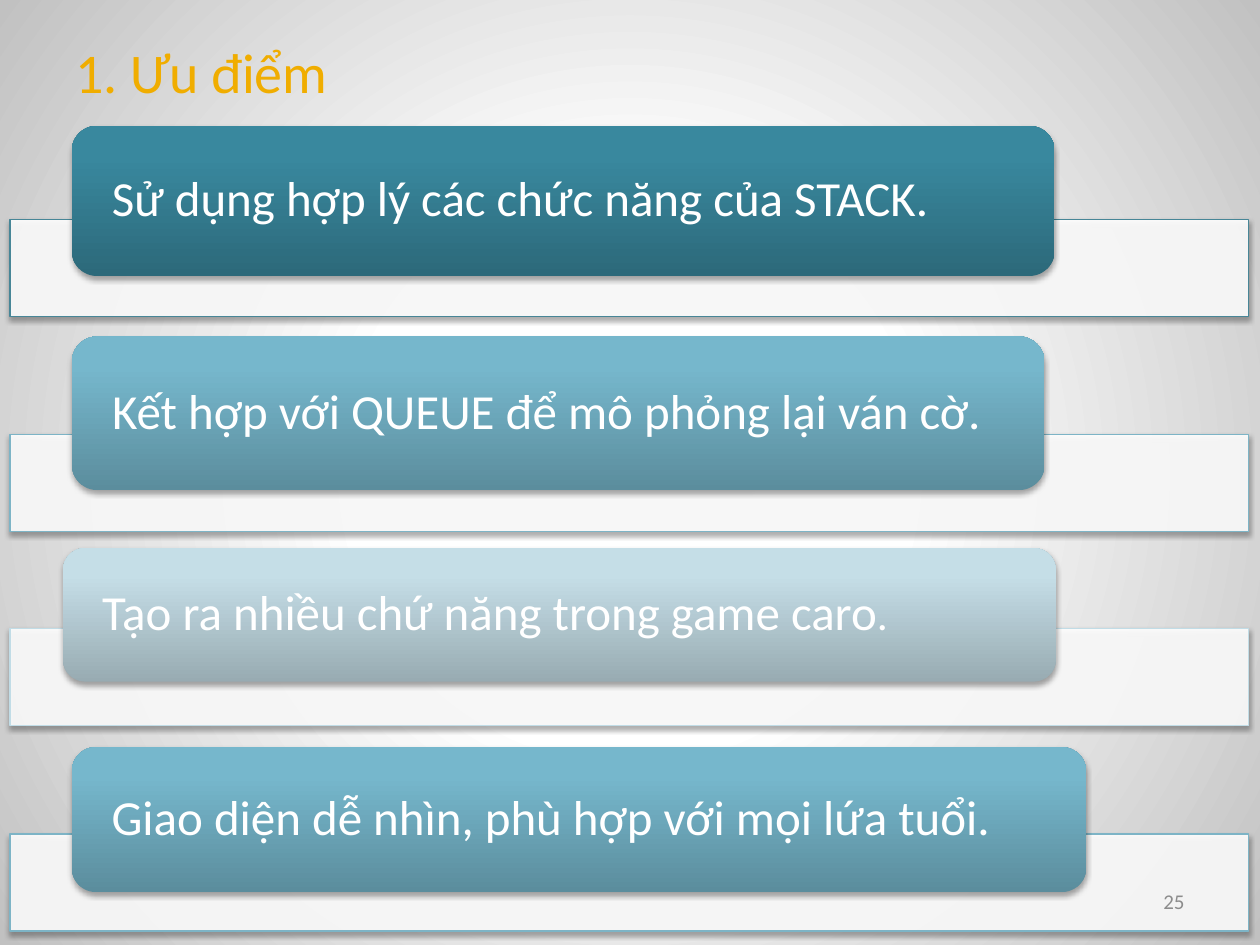
from lxml import etree
from pptx import Presentation
from pptx.dml.color import RGBColor
from pptx.enum import shapes, text
from pptx.oxml import parse_xml
from pptx.oxml.ns import qn
from pptx.util import Inches, Pt

NS = 'xmlns:a="http://schemas.openxmlformats.org/drawingml/2006/main"'
BAR_LEFT, BAR_WIDTH, BAR_HEIGHT = 0.08, 9.83, 0.77

# Colour sets: bar outline, then card gradient from bottom to top
DEEP = ("478697", [(0, "2C697A"), (80, "39889E"), (100, "388AA1")])
MEDIUM = ("7DB4C6", [(0, "5B8D9D"), (80, "76B7CC"), (100, "75B9CE")])
PALE = ("C1DCE6", [(0, "98ABB2"), (80, "C5DEE7"), (100, "C5DFE9")])

# Bar top, card box (left, top, width, height), colours, runs (wording, size)
ADVANTAGES = [
    (1.74, (0.57, 1.0, 7.8, 1.19), DEEP,
     [("Sử dụng hợp lý các chức năng của STACK.", 28)]),
    (3.45, (0.57, 2.67, 7.72, 1.22), MEDIUM,
     [("Kết hợp với QUEUE để mô phỏng lại ván cờ.", 28)]),
    (4.99, (0.5, 4.35, 7.88, 1.06), PALE,
     [("Tạo ra nhiều chứ năng trong game caro", 28), (".", 25)]),
    (6.62, (0.57, 5.93, 8.05, 1.15), MEDIUM,
     [("Giao diện dễ nhìn, phù hợp với mọi lứa tuổi.", 28)]),
]


def rgb(value):
    return RGBColor.from_string(value)


def gradient(stops, direction):
    """Return a gradient fill element; direction is its a:lin or a:path part."""
    marks = "".join(f'<a:gs pos="{pos * 1000}"><a:srgbClr val="{colour}"/></a:gs>'
                    for pos, colour in stops)
    return parse_xml(f'<a:gradFill {NS} rotWithShape="1"><a:gsLst>{marks}</a:gsLst>'
                     f'{direction}</a:gradFill>')


def add_shadow(shape):
    shape.shadow.inherit = False
    effects = shape._element.spPr.find(qn("a:effectLst"))
    effects.append(parse_xml(
        f'<a:outerShdw {NS} blurRad="{Pt(3.1)}" dist="{Pt(1.8)}" dir="5400000" '
        'rotWithShape="0"><a:srgbClr val="000000"><a:alpha val="35000"/>'
        '</a:srgbClr></a:outerShdw>'))


def add_run(paragraph, wording, size, colour):
    run = paragraph.add_run()
    run.text = wording
    run.font.name = "Calibri"
    run.font.size = Pt(size)
    run.font.color.rgb = rgb(colour)


def set_background(slide):
    fill = slide.background.fill
    fill.solid()
    solid = slide._element.cSld.find(".//" + qn("a:solidFill"))
    solid.getparent().replace(solid, gradient(
        [(35, "FFFFFF"), (100, "C1C1C1")],
        '<a:path path="circle"><a:fillToRect l="50000" t="50000" '
        'r="50000" b="50000"/></a:path>'))


def add_title(slide, box):
    title = slide.shapes.title
    title.left, title.top, title.width, title.height = map(Inches, box)
    frame = title.text_frame
    frame.vertical_anchor = text.MSO_ANCHOR.TOP
    frame.auto_size = text.MSO_AUTO_SIZE.NONE
    paragraph = frame.paragraphs[0]
    paragraph.alignment = text.PP_ALIGN.LEFT
    add_run(paragraph, "1. Ưu điểm", 32, "F0AD00")


def add_bar(slide, box, outline):
    bar = slide.shapes.add_shape(shapes.MSO_SHAPE.RECTANGLE, *map(Inches, box))
    bar.fill.solid()
    bar.fill.fore_color.rgb = rgb("FFFFFF")
    white = bar._element.spPr.find(qn("a:solidFill"))[0]
    etree.SubElement(white, qn("a:alpha")).set("val", "90000")
    bar.line.color.rgb = rgb(outline)
    bar.line.width = Pt(0.75)
    add_shadow(bar)


def add_card(slide, box, stops, runs):
    card = slide.shapes.add_shape(shapes.MSO_SHAPE.ROUNDED_RECTANGLE,
                                  *map(Inches, box))
    card.fill.background()
    card.line.fill.background()
    properties = card._element.spPr
    properties.replace(properties.find(qn("a:noFill")),
                       gradient(stops, '<a:lin ang="16200000" scaled="0"/>'))
    add_shadow(card)

    frame = card.text_frame
    frame.word_wrap = True
    frame.vertical_anchor = text.MSO_ANCHOR.MIDDLE
    frame.margin_left = frame.margin_right = Inches(0.26)
    frame.margin_top = frame.margin_bottom = 0
    paragraph = frame.paragraphs[0]
    paragraph.alignment = text.PP_ALIGN.LEFT
    paragraph.line_spacing = 0.9
    for wording, size in runs:
        add_run(paragraph, wording, size, "FFFFFF")


def add_page_number(slide, box):
    frame = slide.shapes.add_textbox(*map(Inches, box)).text_frame
    frame.word_wrap = True
    frame.vertical_anchor = text.MSO_ANCHOR.MIDDLE
    paragraph = frame.paragraphs[0]
    paragraph.alignment = text.PP_ALIGN.RIGHT
    add_run(paragraph, "25", 12, "8C8C8C")


def main():
    deck = Presentation()
    deck.slide_width, deck.slide_height = Inches(10), Inches(7.5)
    slide = deck.slides.add_slide(deck.slide_layouts.get_by_name("Title Only"))

    set_background(slide)
    add_title(slide, (0.5, 0.25, 4.83, 0.64))

    # One bar with a card over it for each advantage
    for bar_top, card_box, (outline, stops), runs in ADVANTAGES:
        add_bar(slide, (BAR_LEFT, bar_top, BAR_WIDTH, BAR_HEIGHT), outline)
        add_card(slide, card_box, stops, runs)

    add_page_number(slide, (7.17, 6.95, 2.33, 0.4))
    deck.save("out.pptx")


if __name__ == "__main__":
    main()
